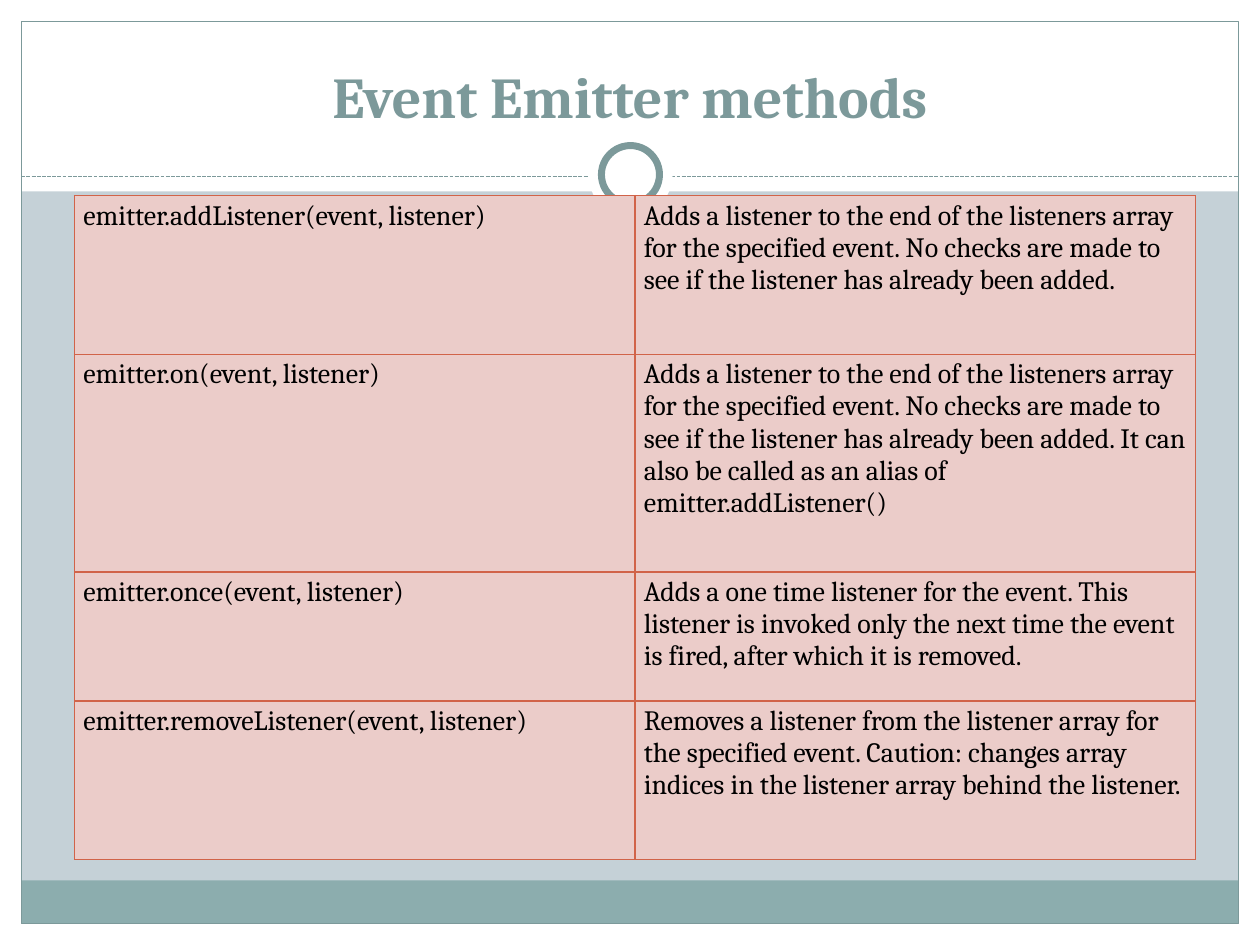
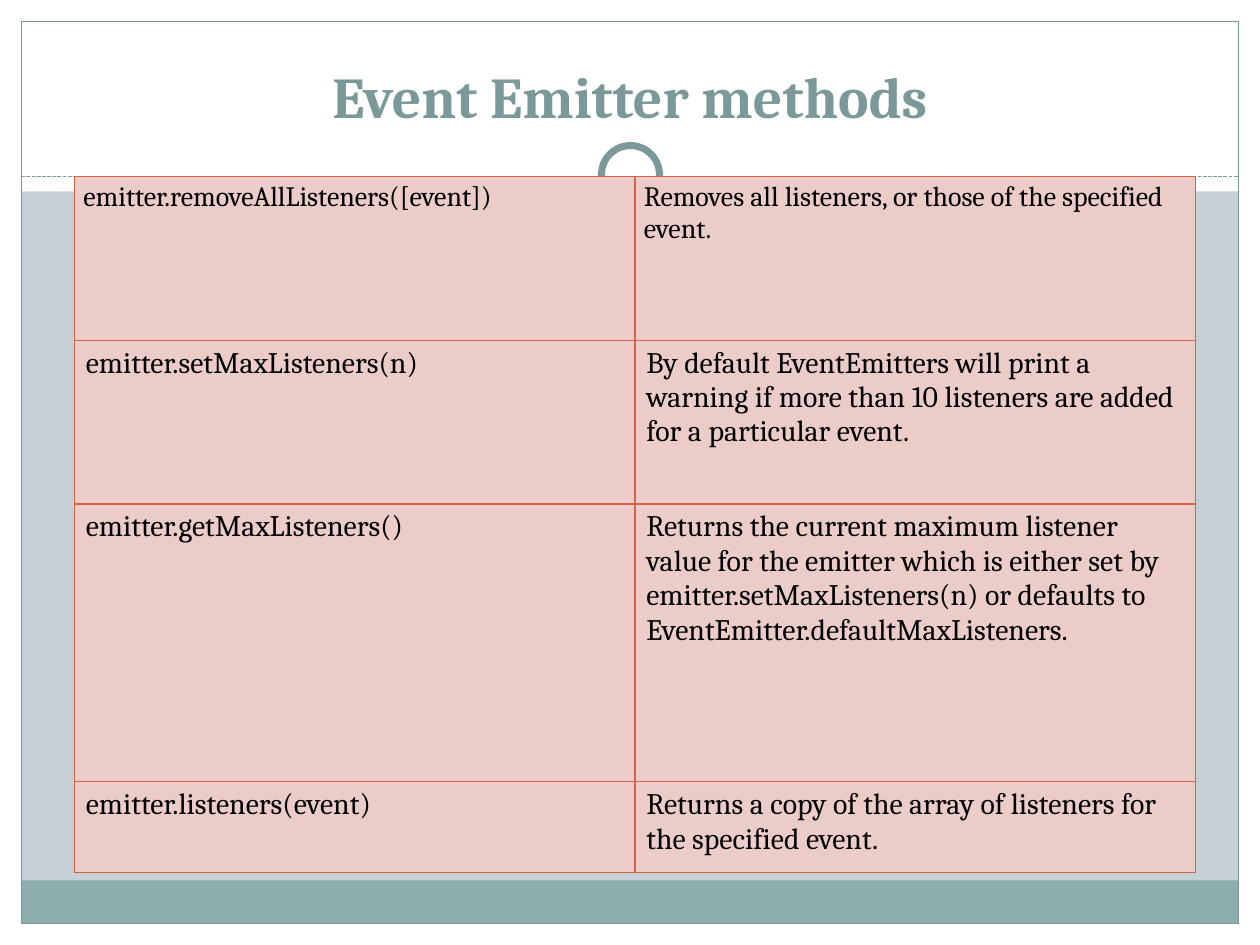
from lxml.etree import SubElement
from pptx import Presentation
from pptx.dml.color import RGBColor
from pptx.enum.dml import MSO_LINE_DASH_STYLE as Dash
from pptx.enum.shapes import MSO_CONNECTOR as Connector, MSO_SHAPE as Shape
from pptx.enum.text import MSO_ANCHOR as Anchor, PP_ALIGN as Align
from pptx.oxml import parse_xml
from pptx.oxml.ns import nsdecls, qn
from pptx.util import Cm, Pt

FONT = "Cambria"
COLORS = {
    "background": "C5D1D7", "white": "FFFFFF", "footer": "8CADAE",
    "accent": "7C999A", "cell": "EBCCC9", "border": "D16349", "text": "000000",
}
WIDTH, HEIGHT, RIM = 25.4, 19.05, 0.43
RULE_Y, HEADER_HEIGHT = 3.56, 3.86
FOOTER_TOP = 17.75
RING_CENTER = (12.71, 3.52)
TABLE_LEFT, COLUMN_WIDTH = 1.5, 11.3

# Text size in points, then side and top insets in cm
COMPACT = (16, 0.18, 0.09)
ROOMY = (17, 0.23, 0.12)

# Each row: height in cm, text style, method, description
SLIDES = [
    {"title": "Event Emitter methods", "top": 3.94, "rows": [
        (3.2, COMPACT, "emitter.addListener(event, listener)",
         "Adds a listener to the end of the listeners array for the specified "
         "event. No checks are made to see if the listener has already been added."),
        (4.39, COMPACT, "emitter.on(event, listener)",
         "Adds a listener to the end of the listeners array for the specified "
         "event. No checks are made to see if the listener has already been added. "
         "It can also be called as an alias of emitter.addListener()"),
        (2.6, COMPACT, "emitter.once(event, listener)",
         "Adds a one time listener for the event. This listener is invoked only "
         "the next time the event is fired, after which it is removed."),
        (3.2, COMPACT, "emitter.removeListener(event, listener)",
         "Removes a listener from the listener array for the specified event. "
         "Caution: changes array indices in the listener array behind the listener."),
    ]},
    {"title": "Event Emitter methods", "top": RULE_Y, "rows": [
        (3.3, COMPACT, "emitter.removeAllListeners([event])",
         "Removes all listeners, or those of the specified event."),
        (3.3, ROOMY, "emitter.setMaxListeners(n)",
         "By default EventEmitters will print a warning if more than 10 listeners "
         "are added for a particular event."),
        (5.6, ROOMY, "emitter.getMaxListeners()",
         "Returns the current maximum listener value for the emitter which is "
         "either set by emitter.setMaxListeners(n) or defaults to "
         "EventEmitter.defaultMaxListeners."),
        (1.83, ROOMY, "emitter.listeners(event)",
         "Returns a copy of the array of listeners for the specified event."),
    ]},
]


def color(name):
    """Look up a palette colour."""
    return RGBColor.from_string(COLORS[name])


def style_text(paragraph, size, color_name, bold=False):
    """Format all runs of a paragraph."""
    for run in paragraph.runs:
        run.font.name, run.font.size, run.font.bold = FONT, Pt(size), bold
        run.font.color.rgb = color(color_name)


def add_figure(slide, kind, box, fill=None, line_width=None):
    """Add a preset shape with an optional fill and accent outline."""
    figure = slide.shapes.add_shape(kind, *map(Cm, box))
    figure.shadow.inherit = False
    if fill:
        figure.fill.solid()
        figure.fill.fore_color.rgb = color(fill)
    else:
        figure.fill.background()
    if line_width:
        figure.line.color.rgb = color("accent")
        figure.line.width = Pt(line_width)
    else:
        figure.line.fill.background()


def add_circle(slide, diameter, line_width=None):
    """Add a white circle around the ring's centre."""
    left, top = (middle - diameter / 2 for middle in RING_CENTER)
    add_figure(slide, Shape.OVAL, (left, top, diameter, diameter), "white", line_width)


def add_frame(slide):
    """Draw the background, bands, border, dashed rule and ring."""
    slide.background.fill.solid()
    slide.background.fill.fore_color.rgb = color("background")
    inner_width, inner_bottom = WIDTH - 2 * RIM, HEIGHT - RIM
    for box, fill in [
        ((0, inner_bottom, WIDTH, RIM), "white"),
        ((0, 0, WIDTH, HEADER_HEIGHT), "white"),
        ((0, 0, RIM, HEIGHT), "white"),
        ((WIDTH - RIM, 0, RIM, HEIGHT), "white"),
        ((RIM, FOOTER_TOP, inner_width, inner_bottom - FOOTER_TOP), "footer"),
    ]:
        add_figure(slide, Shape.RECTANGLE, box, fill)
    border = (RIM, RIM, inner_width, HEIGHT - 2 * RIM)
    add_figure(slide, Shape.RECTANGLE, border, line_width=0.75)
    rule = slide.shapes.add_connector(
        Connector.STRAIGHT, Cm(RIM), Cm(RULE_Y), Cm(WIDTH - RIM), Cm(RULE_Y))
    rule.line.color.rgb = color("accent")
    rule.line.width = Pt(0.75)
    rule.line.dash_style = Dash.SQUARE_DOT
    SubElement(rule._element.spPr, qn("a:effectLst"))
    add_circle(slide, 1.7)
    add_circle(slide, 1.17, 4)


def add_title(slide, title):
    """Add the centred slide title."""
    frame = slide.shapes.add_textbox(Cm(0.85), Cm(0.64), Cm(23.7), Cm(2.1)).text_frame
    frame.word_wrap = True
    frame.vertical_anchor = Anchor.BOTTOM
    frame.text = title
    frame.paragraphs[0].alignment = Align.CENTER
    style_text(frame.paragraphs[0], 33, "accent", bold=True)


def fill_cell(cell, text, style):
    """Write a table cell and give it fill, insets and borders."""
    size, side, edge = style
    cell.text_frame.text = text
    style_text(cell.text_frame.paragraphs[0], size, "text")
    cell.margin_left = cell.margin_right = Cm(side)
    cell.margin_top = cell.margin_bottom = Cm(edge)
    cell.fill.solid()
    cell.fill.fore_color.rgb = color("cell")
    properties = cell._tc.get_or_add_tcPr()
    for position, edge_tag in enumerate(("lnL", "lnR", "lnT", "lnB")):
        properties.insert(position, parse_xml(
            f'<a:{edge_tag} {nsdecls("a")} w="{Pt(0.75)}"><a:solidFill>'
            f'<a:srgbClr val="{COLORS["border"]}"/></a:solidFill></a:{edge_tag}>'))


def add_methods(slide, top, rows):
    """Add the table of methods and descriptions."""
    total_height = sum(row[0] for row in rows)
    methods = slide.shapes.add_table(
        len(rows), 2, Cm(TABLE_LEFT), Cm(top), Cm(2 * COLUMN_WIDTH), Cm(total_height)).table
    methods.first_row = methods.horz_banding = False
    for row, (height, style, *texts) in zip(methods.rows, rows):
        row.height = Cm(height)
        for cell, text in zip(row.cells, texts):
            fill_cell(cell, text, style)


deck = Presentation()
deck.slide_width, deck.slide_height = Cm(WIDTH), Cm(HEIGHT)
for content in SLIDES:
    slide = deck.slides.add_slide(deck.slide_layouts[6])
    add_frame(slide)
    add_title(slide, content["title"])
    add_methods(slide, content["top"], content["rows"])
deck.save("out.pptx")
